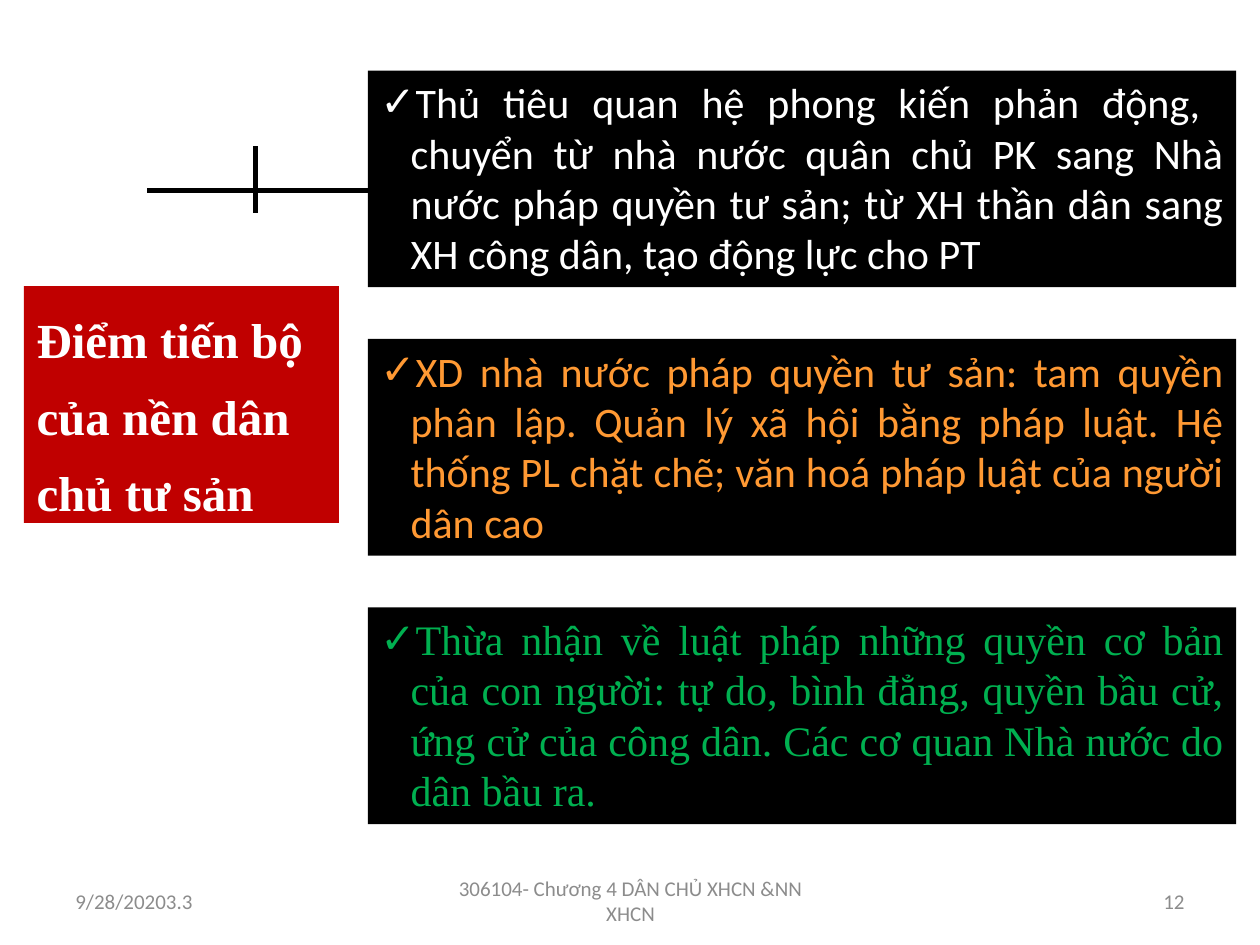
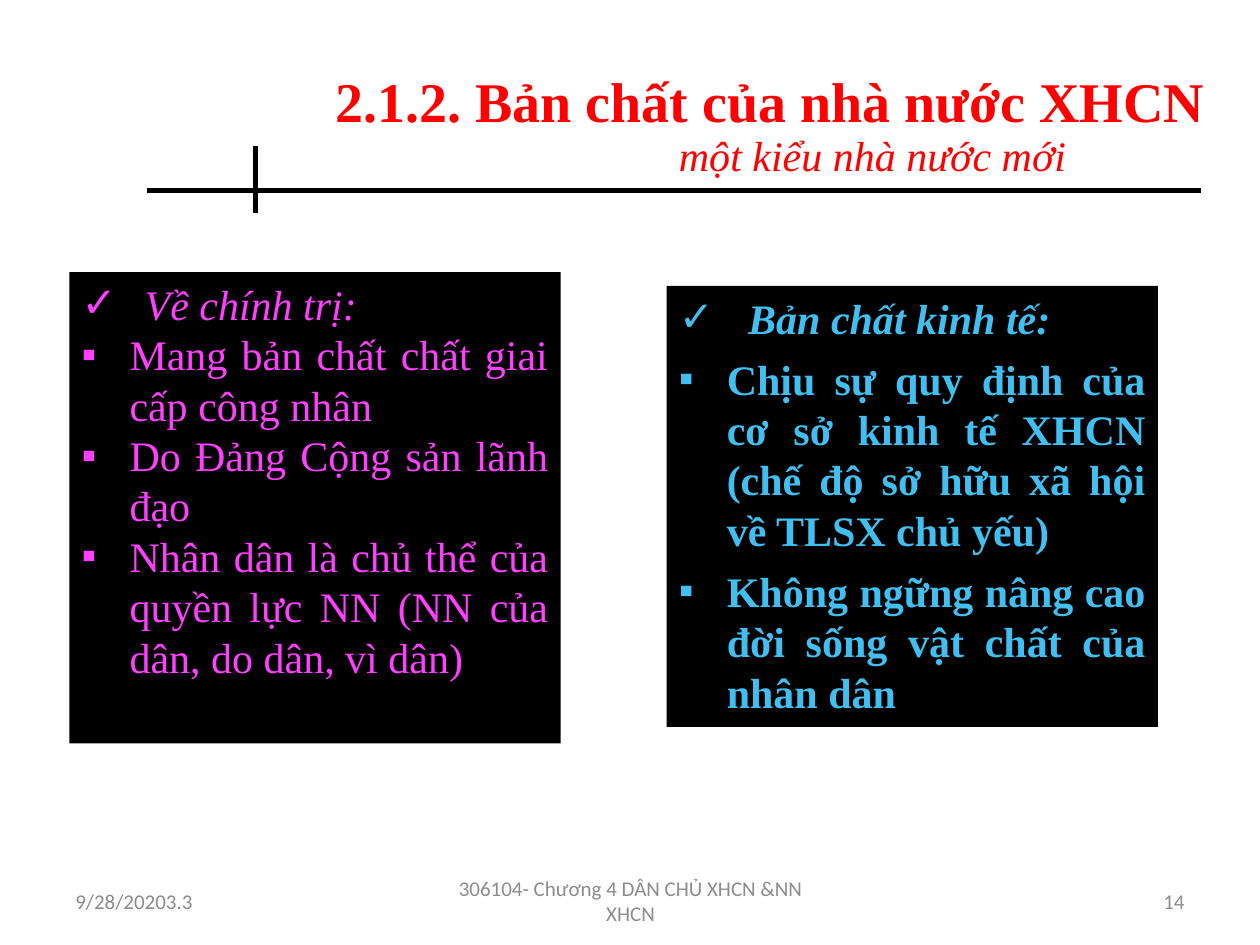
from dataclasses import dataclass

from lxml.etree import SubElement
from pptx import Presentation
from pptx.dml.color import RGBColor
from pptx.enum.shapes import MSO_CONNECTOR as Connector, MSO_SHAPE as Preset
from pptx.enum.text import MSO_ANCHOR as Anchor, MSO_AUTO_SIZE as AutoSize, PP_ALIGN as Align
from pptx.oxml.ns import qn
from pptx.util import Inches, Pt


@dataclass(frozen=True)
class Theme:
    ink: str = "000000"
    paper: str = "FFFFFF"
    banner: str = "C00000"
    heading: str = "FF0000"
    orange: str = "FF9933"
    green: str = "00B050"
    pink: str = "FF40FF"
    sky: str = "41BFF1"
    muted: str = "8C8C8C"
    serif: str = "Times New Roman"
    sans: str = "Calibri"
    title_size: int = 32
    banner_size: int = 28
    body_size: int = 24
    footer_size: int = 12
    rule_width: int = 3


THEME = Theme()
COLUMNS, ROWS = 100, 75
CHECK, SQUARE = "✓", "▪"
FOOTER = "306104- Chương 4 DÂN CHỦ XHCN &NN XHCN"
DATE = "9/28/20203.3"


def write(frame, text, color, size=THEME.body_size, font=THEME.serif, bold=False,
          italic=False, align=Align.LEFT, before=0, leading=1.0, bullet=None, hang=0):
    first = frame.paragraphs[0]
    paragraph = frame.add_paragraph() if first.runs else first
    paragraph.alignment = align
    paragraph.space_before = Pt(before)
    paragraph.line_spacing = leading
    run = paragraph.add_run()
    run.text = text
    run.font.name, run.font.size = font, Pt(size)
    run.font.bold, run.font.italic = bold, italic
    run.font.color.rgb = RGBColor.from_string(color)
    if bullet:
        properties = paragraph._p.get_or_add_pPr()
        properties.set("marL", str(Inches(hang)))
        properties.set("indent", str(-Inches(hang)))
        SubElement(properties, qn("a:buFont"), typeface="Arial")
        SubElement(properties, qn("a:buChar"), char=bullet)


class Deck:
    def __init__(self, theme):
        self.theme = theme
        self.file = Presentation()
        self.file.slide_width, self.file.slide_height = Inches(10), Inches(7.5)
        self.slide = None

    def point(self, column, row):
        return (round(self.file.slide_width * column / COLUMNS),
                round(self.file.slide_height * row / ROWS))

    def place(self, column, row, columns, rows):
        return *self.point(column, row), *self.point(columns, rows)

    def start(self, number):
        self.slide = self.file.slides.add_slide(self.file.slide_layouts[5])
        self.rule((11.7, 15.1), (95.3, 15.1))
        self.rule((20.3, 11.6), (20.3, 16.9))
        for text, column, columns, align in (
                (DATE, 5, 23.3, Align.LEFT),
                (FOOTER, 34.2, 31.7, Align.CENTER),
                (number, 71.7, 23.3, Align.RIGHT)):
            self.label(text, (column, 69.5, columns, 4), anchor=Anchor.MIDDLE, wrap=True,
                       color=self.theme.muted, size=self.theme.footer_size,
                       font=self.theme.sans, align=align)

    def rule(self, begin, end):
        line = self.slide.shapes.add_connector(
            Connector.STRAIGHT, *self.point(*begin), *self.point(*end))
        line.line.color.rgb = RGBColor.from_string(self.theme.ink)
        line.line.width = Pt(self.theme.rule_width)
        SubElement(line._element.spPr, qn("a:effectLst"))

    def paint(self, area, fill):
        area.fill.solid()
        area.fill.fore_color.rgb = RGBColor.from_string(fill)

    def title(self, text, box, fill=None, **format):
        title = self.slide.shapes.title
        title.left, title.top, title.width, title.height = self.place(*box)
        if fill:
            self.paint(title, fill)
        frame = title.text_frame
        frame.auto_size, frame.vertical_anchor = AutoSize.NONE, Anchor.TOP
        frame.word_wrap = True
        write(frame, text, bold=True, **format)

    def label(self, text, box, anchor=Anchor.TOP, wrap=False, **format):
        frame = self.slide.shapes.add_textbox(*self.place(*box)).text_frame
        frame.word_wrap, frame.vertical_anchor = wrap, anchor
        write(frame, text, **format)

    def panel(self, box, points, **shared):
        panel = self.slide.shapes.add_shape(Preset.RECTANGLE, *self.place(*box))
        panel.shadow.inherit = False
        panel.line.fill.background()
        self.paint(panel, self.theme.ink)
        frame = panel.text_frame
        frame.word_wrap, frame.vertical_anchor = True, Anchor.TOP
        for text, format in points:
            write(frame, text, align=Align.JUSTIFY, **{**shared, **format})


def add_progress_slide(deck):
    theme = deck.theme
    deck.start("12")
    deck.title("Điểm tiến bộ của nền dân chủ tư sản", (1.9, 22.7, 25, 18.8),
               fill=theme.banner, color=theme.paper, size=theme.banner_size, leading=1.3)
    advances = (
        ("Thủ tiêu quan hệ phong kiến phản động,  chuyển từ nhà nước quân chủ PK sang "
         "Nhà nước pháp quyền tư sản; từ XH thần dân sang XH công dân, tạo động lực cho PT",
         theme.paper, theme.sans),
        ("XD nhà nước pháp quyền tư sản: tam quyền phân lập. Quản lý xã hội bằng pháp luật. "
         "Hệ thống PL chặt chẽ; văn hoá pháp luật của người dân cao",
         theme.orange, theme.sans),
        ("Thừa nhận về luật pháp những quyền cơ bản của con người: tự do, bình đẳng, quyền "
         "bầu cử, ứng cử của công dân. Các cơ quan Nhà nước do dân bầu ra.",
         theme.green, theme.serif),
    )
    for index, (advance, color, font) in enumerate(advances):
        deck.panel((29.2, 5.6 + 21.3 * index, 68.9, 17.2), [(advance, {})],
                   color=color, font=font, before=6, bullet=CHECK, hang=0.24)


def add_nature_slide(deck):
    theme = deck.theme
    deck.start("14")
    deck.title("2.1.2. Bản chất của nhà nước XHCN", (25.6, 4.8, 73, 6.4),
               color=theme.heading, size=theme.title_size)
    deck.label("một kiểu nhà nước mới", (52.9, 9.8, 33, 5), color=theme.heading, italic=True)
    deck.panel((5.5, 21.6, 39, 37.4), [
        ("Về chính trị:", dict(italic=True, before=6, bullet=CHECK, hang=0.5)),
        ("Mang bản chất chất giai cấp công nhân", {}),
        ("Do Đảng Cộng sản lãnh đạo", {}),
        ("Nhân dân là chủ thể của quyền lực NN (NN của dân, do dân, vì dân)", {}),
    ], color=theme.pink, bullet=SQUARE, hang=0.38)
    deck.panel((52.9, 22.7, 39, 35), [
        ("Bản chất kinh tế:", dict(italic=True, bullet=CHECK, hang=0.55)),
        ("Chịu sự quy định của cơ sở kinh tế XHCN (chế độ sở hữu xã hội về TLSX chủ yếu)", {}),
        ("Không ngững nâng cao đời sống vật chất của nhân dân", {}),
    ], color=theme.sky, bold=True, before=6, bullet=SQUARE, hang=0.38)


def main():
    deck = Deck(THEME)
    add_progress_slide(deck)
    add_nature_slide(deck)
    deck.file.save("out.pptx")


if __name__ == "__main__":
    main()
